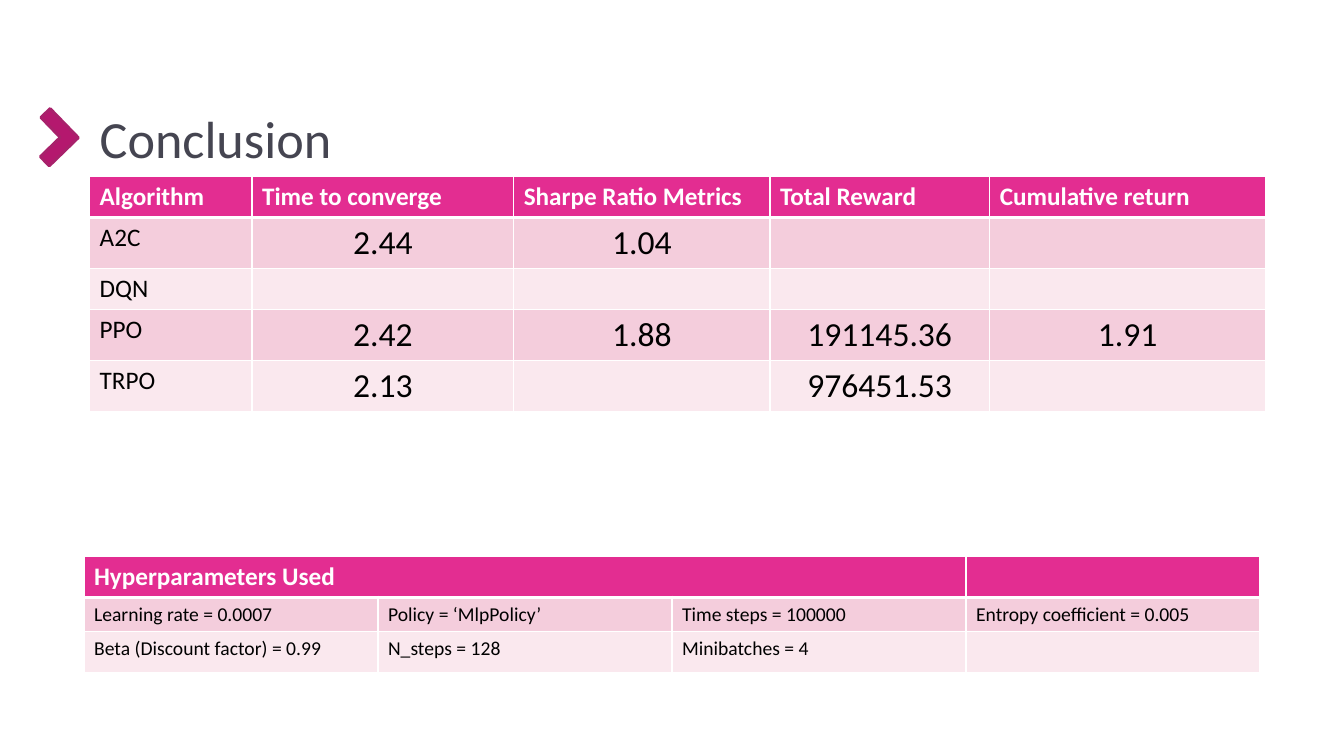
from dataclasses import dataclass

from lxml.etree import SubElement
from pptx import Presentation
from pptx.dml.color import RGBColor as Rgb
from pptx.enum.text import MSO_ANCHOR as Anchor, MSO_AUTO_SIZE as AutoSize, PP_ALIGN as Align
from pptx.oxml.ns import qn
from pptx.util import Pt


@dataclass(frozen=True)
class Theme:
    font: str = "Calibri"
    title: str = "454551"
    marker: str = "B4186E"
    marker_line: str = "A8216B"
    header: str = "E32D91"
    bands: tuple = ("F4CDDC", "FAE8EE")
    white: str = "FFFFFF"
    black: str = "000000"
    title_size: float = 37.3
    label_size: float = 18
    value_size: float = 24
    note_size: float = 14
    rule: float = 1
    header_rule: float = 3


THEME = Theme()

RESULTS = [
    ["Algorithm", "Time to converge", "Sharpe Ratio Metrics", "Total Reward", "Cumulative return"],
    ["A2C", "2.44", "1.04", "", ""],
    ["DQN", "", "", "", ""],
    ["PPO", "2.42", "1.88", "191145.36", "1.91"],
    ["TRPO", "2.13", "", "976451.53", ""],
]
HYPERPARAMETERS = [
    ["Hyperparameters Used", "", "", ""],
    ["Learning rate = 0.0007", "Policy = ‘MlpPolicy’", "Time steps = 100000",
     "Entropy coefficient = 0.005"],
    ["Beta (Discount factor) = 0.99", "N_steps = 128", "Minibatches = 4", ""],
]


def set_all(target, values):
    for name, value in values.items():
        setattr(target, name, value)


def write(frame, text, size, color, bold=False, align=Align.LEFT):
    para = frame.paragraphs[0]
    para.alignment = align
    span = para.add_run()
    span.text = text
    set_all(span.font, {"name": THEME.font, "size": Pt(size), "bold": bold})
    span.font.color.rgb = Rgb.from_string(color)


def add_marker(page, box):
    """Right-angled corner, turned so that it points to the right."""
    left, top, side, _ = box
    arm = 9.2
    corner = [(0, 0), (arm, 0), (arm, side - arm), (side, side - arm), (side, side), (0, side)]
    points = [(Pt(left + x), Pt(top + y)) for x, y in corner]
    outline = page.shapes.build_freeform(*points[0])
    outline.add_line_segments(points[1:], close=True)
    marker = outline.convert_to_shape()
    marker.rotation = 225.9
    marker.shadow.inherit = False
    marker.fill.solid()
    marker.fill.fore_color.rgb = Rgb.from_string(THEME.marker)
    marker.line.color.rgb = Rgb.from_string(THEME.marker_line)
    marker.line.width = Pt(2)


def add_heading(page, box, text):
    """Title with a marker in the margin to its left."""
    left, top, width, height = box
    title = page.shapes.title
    set_all(title, {"left": Pt(left), "top": Pt(top), "width": Pt(width), "height": Pt(height)})
    frame = title.text_frame
    set_all(frame, {"word_wrap": True, "auto_size": AutoSize.NONE,
                    "vertical_anchor": Anchor.MIDDLE})
    write(frame, text, THEME.title_size, THEME.title)
    side = 29
    add_marker(page, (left - 43, top + (height - side) / 2, side, side))


def add_borders(cell, row):
    """White rules, thicker between the header and the first row."""
    widths = {
        "a:lnL": THEME.rule,
        "a:lnR": THEME.rule,
        "a:lnT": THEME.header_rule if row == 1 else THEME.rule,
        "a:lnB": THEME.header_rule if row == 0 else THEME.rule,
    }
    properties = cell._tc.get_or_add_tcPr()
    for tag, width in widths.items():
        line = SubElement(properties, qn(tag), w=str(Pt(width)))
        fill = SubElement(line, qn("a:solidFill"))
        SubElement(fill, qn("a:srgbClr"), val=THEME.white)


def add_banded_table(page, box, entries, columns, heights, write_body):
    left, top, width, height = box
    table = page.shapes.add_table(len(entries), len(columns), Pt(left), Pt(top),
                                  Pt(width), Pt(height)).table
    set_all(table, {"first_row": False, "horz_banding": False})
    for column, size in zip(table.columns, columns):
        column.width = Pt(size)
    for line, size in zip(table.rows, heights):
        line.height = Pt(size)
    for row, texts in enumerate(entries):
        for col, text in enumerate(texts):
            cell = table.cell(row, col)
            add_borders(cell, row)
            cell.fill.solid()
            color = THEME.bands[(row - 1) % 2] if row else THEME.header
            cell.fill.fore_color.rgb = Rgb.from_string(color)
            if text and row == 0:
                write(cell.text_frame, text, THEME.label_size, THEME.white, bold=True)
            elif text:
                write_body(cell, col, text)
    return table


def write_result(cell, col, text):
    if col == 0:
        write(cell.text_frame, text, THEME.label_size, THEME.black)
    else:
        cell.vertical_anchor = Anchor.MIDDLE
        write(cell.text_frame, text, THEME.value_size, THEME.black, align=Align.CENTER)


def write_setting(cell, col, text):
    write(cell.text_frame, text, THEME.note_size, THEME.black)


def add_results(page, box):
    short, tall = 29.3, 36.5
    add_banded_table(page, box, RESULTS, [116, 187, 183, 157, 197],
                     [short, tall, short, tall, tall], write_result)


def add_hyperparameters(page, box):
    count = len(HYPERPARAMETERS[0])
    table = add_banded_table(page, box, HYPERPARAMETERS, [box[2] / count] * count,
                             [29.3, 24.3, 29.3], write_setting)
    table.cell(0, 0).merge(table.cell(0, 2))


def build_conclusion(deck):
    page = deck.slides.add_slide(deck.slide_layouts[5])
    add_heading(page, (64, 70, 840, 56), "Conclusion")
    add_results(page, (64, 126, 840, 168))
    add_hyperparameters(page, (60, 397.5, 840, 83))


def main():
    deck = Presentation()
    set_all(deck, {"slide_width": Pt(960), "slide_height": Pt(540)})
    build_conclusion(deck)
    deck.save("out.pptx")


if __name__ == "__main__":
    main()
